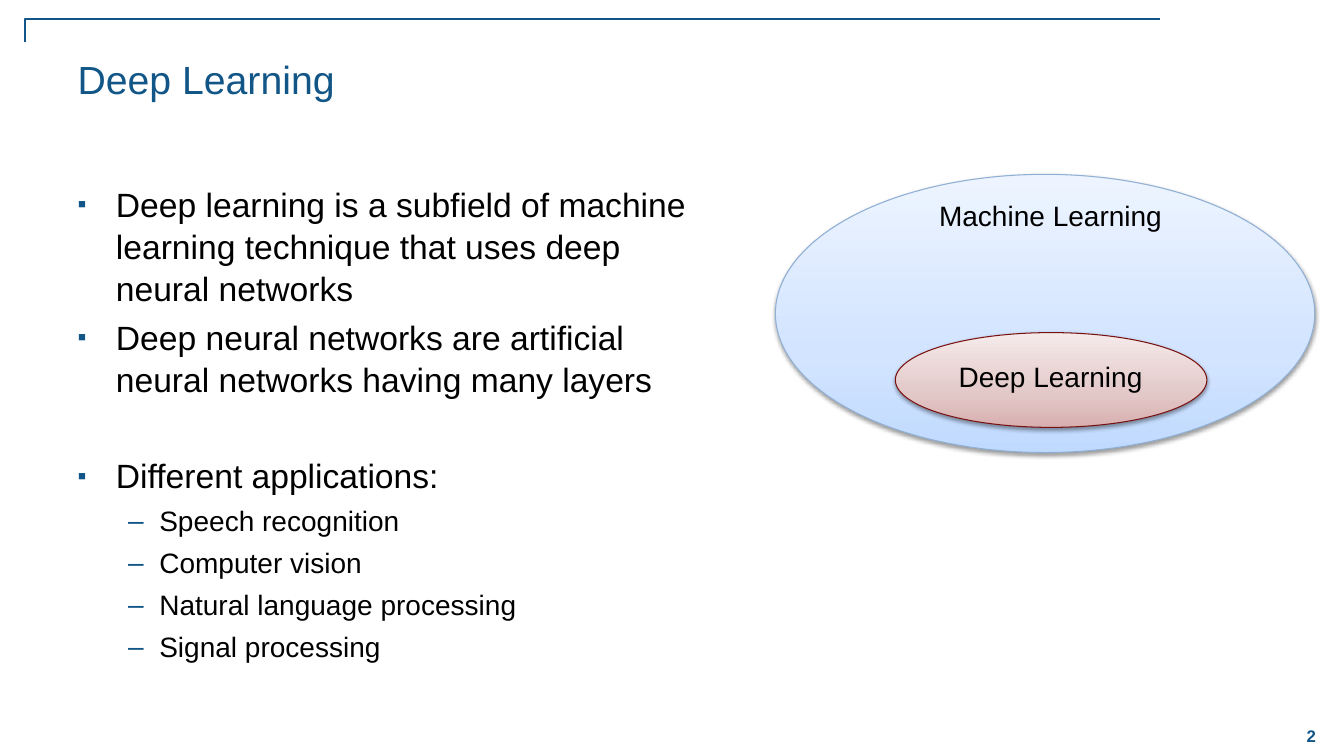
from lxml import etree
from pptx import Presentation
from pptx.dml.color import RGBColor
from pptx.enum.shapes import MSO_CONNECTOR, MSO_SHAPE
from pptx.enum.text import MSO_ANCHOR, MSO_AUTO_SIZE, PP_ALIGN
from pptx.oxml import parse_xml
from pptx.oxml.ns import nsdecls, qn
from pptx.util import Inches, Pt

LEFT, CENTER = PP_ALIGN.LEFT, PP_ALIGN.CENTER
TOP, MIDDLE = MSO_ANCHOR.TOP, MSO_ANCHOR.MIDDLE
ELBOW, OVAL = MSO_CONNECTOR.ELBOW, MSO_SHAPE.OVAL
NO_FIT = MSO_AUTO_SIZE.NONE

# Content
TITLE = "Deep Learning"
PAGE_NUMBER = "2"
POINTS = [  # level, text, space before in points
    (0, "Deep learning is a subfield of machine learning technique "
        "that uses deep neural networks", 4.8),
    (0, "Deep neural networks are artificial neural networks having many layers", 4.8),
    (0, "Different applications:", 38.2),
    (1, "Speech recognition", 4.8),
    (1, "Computer vision", 4.8),
    (1, "Natural language processing", 4.8),
    (1, "Signal processing", 4.8),
]
FIELDS = [  # label, ellipse box, label top, gradient from bottom to top, outline
    ("Machine Learning", (7.69, 1.73, 5.35, 2.76), 1.92,
     ("C0DAFF", "D2E4FF", "EDF4FF"), "90AFD4"),
    ("Deep Learning", (8.88, 3.3, 3.09, 0.94), 3.52,
     ("D8AFAF", "E3C8C8", "F5EAEA"), "781111"),
]

# Style
FONT = "Arial"
COLORS = {"accent": "125687", "text": "000000", "shadow": "000000"}
LEVELS = [  # size, indent, hanging, bullet, bullet percent
    dict(size=24, indent=0.38, hanging=0.38, bullet="▪", percent=75),
    dict(size=20, indent=0.81, hanging=0.31, bullet="–", percent=100),
]
GRADIENT_STOPS = (0, 35, 100)
LABEL_LEFT, LABEL_WIDTH, LABEL_HEIGHT = 9.04, 2.76, 0.44


def place(shape, left, top, width, height):
    shape.left, shape.top = Inches(left), Inches(top)
    shape.width, shape.height = Inches(width), Inches(height)


def write(paragraph, text, size=20, color="text", bold=False, align=LEFT):
    paragraph.alignment = align
    run = paragraph.add_run()
    run.text = text
    run.font.name, run.font.size, run.font.bold = FONT, Pt(size), bold
    run.font.color.rgb = RGBColor.from_string(COLORS[color])


def prepare(frame, anchor=TOP):
    frame.word_wrap = True
    frame.auto_size = NO_FIT
    frame.vertical_anchor = anchor
    return frame.paragraphs[0]


def add_bullet(paragraph, indent, hanging, bullet, percent):
    properties = paragraph._p.get_or_add_pPr()
    properties.set("marL", str(Inches(indent)))
    properties.set("indent", str(-Inches(hanging)))
    color = etree.SubElement(properties, qn("a:buClr"))
    etree.SubElement(color, qn("a:srgbClr"), val=COLORS["accent"])
    etree.SubElement(properties, qn("a:buSzPct"), val=str(percent * 1000))
    etree.SubElement(properties, qn("a:buFont"), typeface=FONT)
    etree.SubElement(properties, qn("a:buChar"), char=bullet)


def add_field(group, box, gradient, outline):
    ellipse = group.shapes.add_shape(OVAL, *map(Inches, box))
    ellipse.line.color.rgb = RGBColor.from_string(outline)
    ellipse.line.width = Pt(0.75)
    stops = "".join(
        f'<a:gs pos="{stop * 1000}"><a:srgbClr val="{color}"/></a:gs>'
        for stop, color in zip(GRADIENT_STOPS, gradient))
    fill = parse_xml(
        f'<a:gradFill {nsdecls("a")} rotWithShape="1"><a:gsLst>{stops}</a:gsLst>'
        '<a:lin ang="16200000" scaled="0"/></a:gradFill>')
    properties = ellipse._element.spPr
    properties.find(qn("a:ln")).addprevious(fill)
    properties.append(parse_xml(
        f'<a:effectLst {nsdecls("a")}><a:outerShdw blurRad="{Pt(3.1)}" '
        f'dist="{Pt(1.6)}" dir="5400000" rotWithShape="0">'
        f'<a:srgbClr val="{COLORS["shadow"]}"><a:alpha val="38000"/></a:srgbClr>'
        '</a:outerShdw></a:effectLst>'))


deck = Presentation()
deck.slide_width, deck.slide_height = Inches(13.33), Inches(7.5)
slide = deck.slides.add_slide(deck.slide_layouts[1])

# Corner rule and page number
rule = slide.shapes.add_connector(
    ELBOW, Inches(11.51), Inches(0.19), Inches(0.25), Inches(0.42))
rule.line.color.rgb = RGBColor.from_string(COLORS["accent"])
rule.line.width = Pt(1)
rule_properties = rule._element.spPr
etree.SubElement(rule_properties, qn("a:effectLst"))
bend = rule_properties.find(qn("a:prstGeom")).find(qn("a:avLst"))
etree.SubElement(bend, qn("a:gd"), name="adj1", fmla="val 100000")

page = slide.shapes.add_textbox(*map(Inches, (12.67, 7.09, 0.67, 0.42)))
write(prepare(page.text_frame, MIDDLE), PAGE_NUMBER,
      size=12, color="accent", bold=True, align=CENTER)

# Title
title = slide.shapes.title
place(title, 0.67, 0.5, 11.78, 1.08)
write(prepare(title.text_frame), TITLE, size=28, color="accent")

# Nested fields diagram
diagram = slide.shapes.add_group_shape()
for _, box, _, gradient, outline in FIELDS:
    add_field(diagram, box, gradient, outline)
for name, _, label_top, _, _ in FIELDS:
    label = diagram.shapes.add_textbox(
        *map(Inches, (LABEL_LEFT, label_top, LABEL_WIDTH, LABEL_HEIGHT)))
    write(prepare(label.text_frame), name, align=CENTER)

# Bullet list
body = slide.placeholders[1]
place(body, 0.67, 1.75, 6.47, 2.5)
paragraph = prepare(body.text_frame)
for index, (level, text, space_before) in enumerate(POINTS):
    if index:
        paragraph = body.text_frame.add_paragraph()
    style = dict(LEVELS[level])
    paragraph.level = level
    paragraph.line_spacing = 1.05
    paragraph.space_before = Pt(space_before)
    write(paragraph, text, size=style.pop("size"))
    add_bullet(paragraph, **style)

deck.save("out.pptx")
